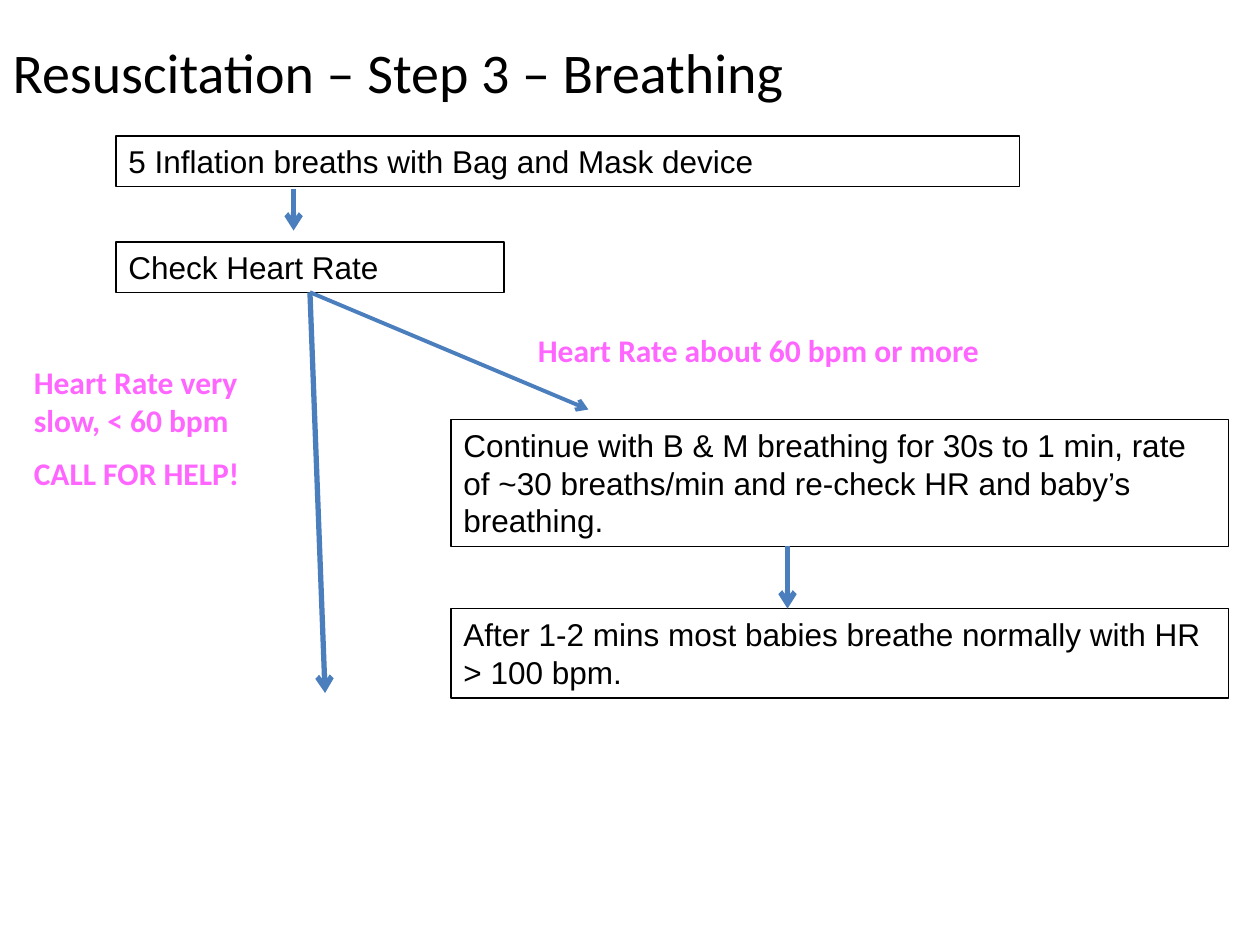
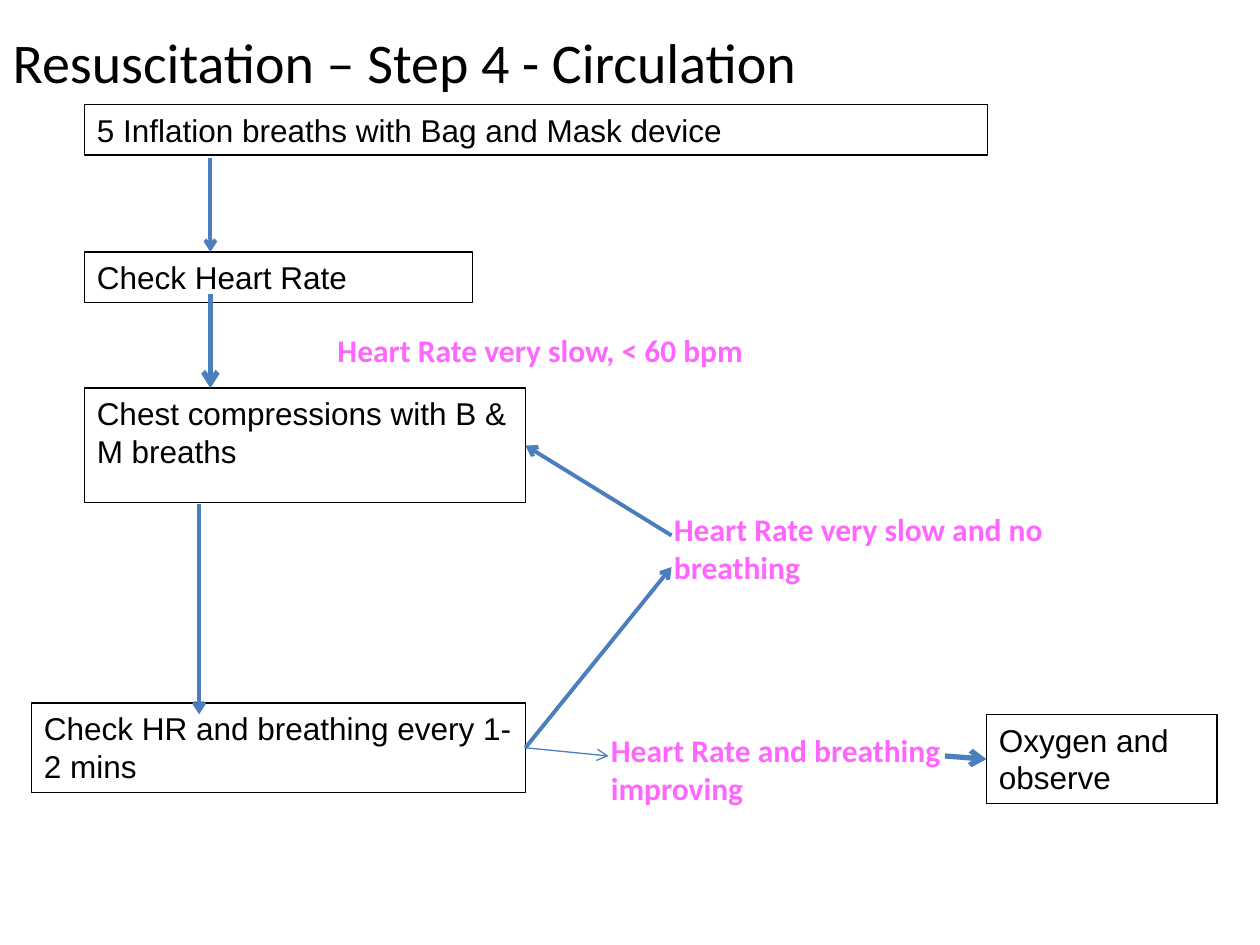
"""Build two flowchart slides on newborn resuscitation: breathing and circulation."""
from lxml.etree import SubElement
from pptx import Presentation
from pptx.dml.color import RGBColor
from pptx.enum.shapes import MSO_CONNECTOR as CONNECTOR, MSO_SHAPE as SHAPE
from pptx.enum.text import MSO_ANCHOR as ANCHOR, MSO_AUTO_SIZE as AUTO_SIZE, PP_ALIGN as ALIGN
from pptx.oxml.ns import qn
from pptx.util import Inches, Pt

BLACK = RGBColor(0x00, 0x00, 0x00)
PINK = RGBColor(0xFF, 0x66, 0xFF)
BLUE = RGBColor(0x4B, 0x7E, 0xBC)
HEADING_FONT = "Calibri"
STEP_FONT = "Arial"
BOTTOM, LEFT, RIGHT = 2, 1, 3
ONE_LINE, TWO_LINES, THREE_LINES = 0.4, 0.71, 1.01
INFLATION = "5 Inflation breaths with Bag and Mask device"
CHECK_RATE = "Check Heart Rate"


def style_text(frame, lines, font_name, size, color, bold=False):
    """Fill a text frame with left-aligned paragraphs in one font."""
    frame.word_wrap = True
    frame.auto_size = AUTO_SIZE.NONE
    frame.vertical_anchor = ANCHOR.TOP
    frame.text = "\n".join(lines)
    for index, paragraph in enumerate(frame.paragraphs):
        paragraph.alignment = ALIGN.LEFT
        paragraph.space_before = Pt(9 if index else 0)
        font = paragraph.font
        font.name, font.size, font.bold = font_name, Pt(size), bold
        font.color.rgb = color


def add_titled_slide(prs, heading, top, bulleted=False):
    """Add a slide with its heading at the upper left."""
    slide = prs.slides.add_slide(prs.slide_layouts[5])
    title = slide.shapes.title
    title.left, title.top = Inches(0), Inches(top)
    title.width, title.height = prs.slide_width, Inches(0.65)
    properties = title.text_frame.paragraphs[0]._p.get_or_add_pPr()
    properties.set("marL", str(Inches(0.38)))
    properties.set("indent", str(Inches(-0.38)))
    if bulleted:
        SubElement(properties, qn("a:buFont"), typeface="Arial")
        SubElement(properties, qn("a:buChar"), char="•")
    style_text(title.text_frame, [heading], HEADING_FONT, 32, BLACK)
    return slide


def add_step(slide, text, left, top, width, height=ONE_LINE):
    """Add an outlined box for one action."""
    step = slide.shapes.add_shape(
        SHAPE.RECTANGLE, Inches(left), Inches(top), Inches(width), Inches(height))
    step.shadow.inherit = False
    step.fill.background()
    step.line.color.rgb = BLACK
    step.line.width = Pt(0.75)
    style_text(step.text_frame, [text], STEP_FONT, 18, BLACK)
    return step


def add_finding(slide, lines, left, top, width, height=ONE_LINE):
    """Add a pink label for a clinical finding."""
    finding = slide.shapes.add_textbox(
        Inches(left), Inches(top), Inches(width), Inches(height))
    style_text(finding.text_frame, lines, HEADING_FONT, 18, PINK, bold=True)


def add_arrow(slide, start, end, weight, source=None, target=None):
    """Add an arrow, joined to (step, side) pairs where they are given."""
    arrow = slide.shapes.add_connector(
        CONNECTOR.STRAIGHT, *(Inches(length) for length in (*start, *end)))
    if source:
        arrow.begin_connect(*source)
    if target:
        arrow.end_connect(*target)
    arrow.line.color.rgb = BLUE
    arrow.line.width = Pt(weight)
    SubElement(arrow.line._get_or_add_ln(), qn("a:tailEnd"), type="arrow")
    SubElement(arrow._element.spPr, qn("a:effectLst"))


def build_breathing(prs):
    """Build the slide for step 3."""
    slide = add_titled_slide(prs, "Resuscitation – Step 3 – Breathing", 0.25, bulleted=True)
    add_step(slide, INFLATION, 0.92, 1.08, 7.17)
    check_rate = add_step(slide, CHECK_RATE, 0.92, 1.92, 3.08)
    add_finding(slide, ["Heart Rate very slow, < 60 bpm", "CALL FOR HELP!"],
                0.17, 2.83, 2.17, 1.16)
    add_step(slide, "Continue with B & M breathing for 30s to 1 min, rate of ~30 "
             "breaths/min and re-check HR and baby’s breathing.",
             3.58, 3.33, 6.17, THREE_LINES)
    add_step(slide, "After 1-2 mins most babies breathe normally with HR > 100 bpm.",
             3.58, 4.83, 6.17, TWO_LINES)
    add_finding(slide, ["Heart Rate about 60 bpm or more"], 4.17, 2.58, 5.25)

    branch = (2.46, 2.32)
    add_arrow(slide, (2.33, 1.5), (2.33, 1.83), 3)
    add_arrow(slide, branch, (2.58, 5.5), 3, source=(check_rate, BOTTOM))
    add_arrow(slide, branch, (4.67, 3.25), 2.25, source=(check_rate, BOTTOM))
    add_arrow(slide, (6.25, 4.33), (6.25, 4.83), 3)


def build_circulation(prs):
    """Build the slide for step 4."""
    slide = add_titled_slide(prs, "Resuscitation – Step 4 - Circulation", 0.17)
    add_step(slide, INFLATION, 0.67, 0.83, 7.17)
    add_step(slide, CHECK_RATE, 0.67, 2, 3.08)
    add_finding(slide, ["Heart Rate very slow, < 60 bpm"], 2.58, 2.58, 4.67)
    compressions = add_step(slide, "Chest compressions with B & M breaths",
                            0.67, 3.08, 3.5, 0.91)
    recheck = add_step(slide, "Check HR and breathing every 1-2 mins",
                       0.25, 5.58, 3.92, TWO_LINES)
    add_finding(slide, ["Heart Rate and breathing improving"], 4.75, 5.75, 2.92, TWO_LINES)
    oxygen = add_step(slide, "Oxygen and observe", 7.83, 5.67, 1.83, TWO_LINES)
    add_finding(slide, ["Heart Rate very slow and no breathing"], 5.25, 4, 3.58, TWO_LINES)

    branch = (4.17, 5.94)
    add_arrow(slide, (1.67, 1.25), (1.67, 2), 2.25)
    add_arrow(slide, (1.67, 2.33), (1.67, 3.08), 3)
    add_arrow(slide, (1.58, 4), (1.58, 5.67), 2.25)
    add_arrow(slide, branch, (4.83, 6), 0.75, source=(recheck, RIGHT))
    add_arrow(slide, branch, (5.33, 4.5), 2.25, source=(recheck, RIGHT))
    add_arrow(slide, (5.33, 4.25), (4.17, 3.54), 2.25, target=(compressions, RIGHT))
    add_arrow(slide, (7.5, 6), (7.83, 6.02), 3, target=(oxygen, LEFT))


def main():
    """Build and save the presentation."""
    prs = Presentation()
    prs.slide_width, prs.slide_height = Inches(10), Inches(7.5)
    build_breathing(prs)
    build_circulation(prs)
    prs.save("out.pptx")


if __name__ == "__main__":
    main()
